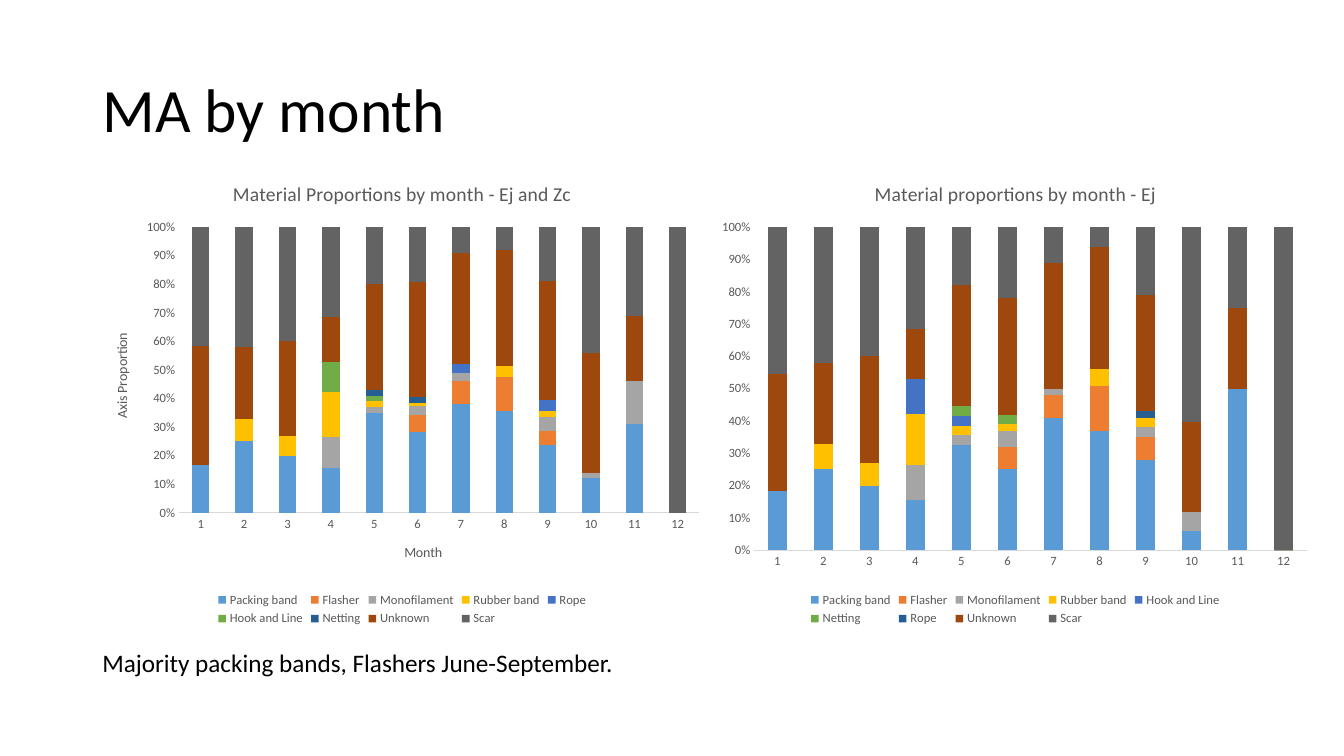
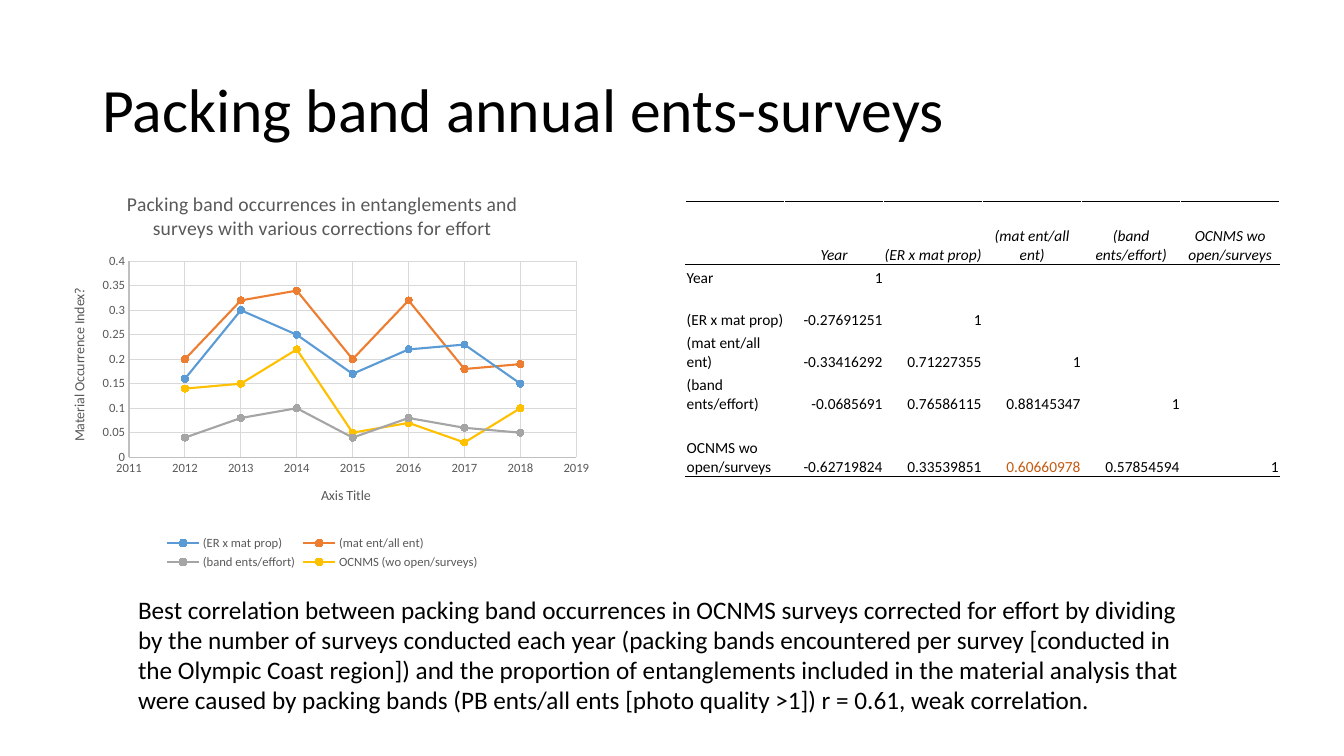
from dataclasses import dataclass

from lxml import etree
from pptx import Presentation
from pptx import util as u
from pptx.chart import data
from pptx.dml import color
from pptx.enum import chart as ch
from pptx.enum import text as tx
from pptx.oxml import parse_xml
from pptx.oxml.ns import nsdecls, qn


@dataclass(frozen=True)
class Theme:
    face: str = "Calibri"
    ink: str = "000000"
    soft: str = "595959"
    grid: str = "D9D9D9"
    rule: str = "BFBFBF"
    mark: str = "C55A11"
    hues: tuple = ("5B9BD5", "ED7D31", "A5A5A5", "FFC000", "4472C4",
                   "70AD47", "255E91", "9E480E", "636363")
    head: int = 44
    body: int = 18
    top: int = 14
    cell: int = 11
    axis: int = 10
    tick: int = 9


T = Theme()
HEAD = (88, 38, 1104, 139)
MONTHS = [str(m) for m in range(1, 13)]
YEARS = range(2012, 2019)

ALL = {
    "Packing band": (17, 25, 20, 16, 35, 28, 38, 36, 24, 12, 31, 0),
    "Flasher": (0, 0, 0, 0, 0, 6, 8, 12, 5, 0, 0, 0),
    "Monofilament": (0, 0, 0, 11, 2, 3, 3, 0, 5, 2, 15, 0),
    "Rubber band": (0, 8, 7, 16, 2, 1, 0, 4, 2, 0, 0, 0),
    "Rope": (0, 0, 0, 0, 0, 0, 3, 0, 4, 0, 0, 0),
    "Hook and Line": (0, 0, 0, 11, 2, 0, 0, 0, 0, 0, 0, 0),
    "Netting": (0, 0, 0, 0, 2, 2, 0, 0, 0, 0, 0, 0),
    "Unknown": (42, 25, 33, 16, 37, 40, 39, 41, 42, 42, 23, 0),
    "Scar": (42, 42, 40, 32, 20, 19, 9, 8, 19, 44, 31, 100),
}
EJ = {
    "Packing band": (18, 25, 20, 16, 33, 25, 41, 37, 28, 6, 50, 0),
    "Flasher": (0, 0, 0, 0, 0, 7, 7, 14, 7, 0, 0, 0),
    "Monofilament": (0, 0, 0, 11, 3, 5, 2, 0, 3, 6, 0, 0),
    "Rubber band": (0, 8, 7, 16, 3, 2, 0, 5, 3, 0, 0, 0),
    "Hook and Line": (0, 0, 0, 11, 3, 0, 0, 0, 0, 0, 0, 0),
    "Netting": (0, 0, 0, 0, 3, 3, 0, 0, 0, 0, 0, 0),
    "Rope": (0, 0, 0, 0, 0, 0, 0, 0, 2, 0, 0, 0),
    "Unknown": (36, 25, 33, 16, 38, 36, 39, 38, 36, 28, 25, 0),
    "Scar": (45, 42, 40, 32, 18, 22, 11, 6, 21, 61, 25, 100),
}
BANDS = {
    "(ER x mat prop)": (0.16, 0.3, 0.25, 0.17, 0.22, 0.23, 0.15),
    "(mat ent/all ent)": (0.2, 0.32, 0.34, 0.2, 0.32, 0.18, 0.19),
    "(band ents/effort)": (0.04, 0.08, 0.1, 0.04, 0.08, 0.06, 0.05),
    "OCNMS (wo open/surveys)": (0.14, 0.15, 0.22, 0.05, 0.07, 0.03, 0.1),
}
CORR = {
    "Year": ("1",),
    "(ER x mat prop)": ("-0.27691251", "1"),
    "(mat ent/all ent)": ("-0.33416292", "0.71227355", "1"),
    "(band ents/effort)": ("-0.0685691", "0.76586115", "0.88145347", "1"),
    "OCNMS wo open/surveys": ("-0.62719824", "0.33539851", "0.60660978",
                              "0.57854594", "1"),
}
BEST = "0.60660978"
NOTE = ("Best correlation between packing band occurrences in OCNMS surveys "
        "corrected for effort by dividing by the number of surveys conducted "
        "each year (packing bands encountered per survey [conducted in the "
        "Olympic Coast region]) and the proportion of entanglements included "
        "in the material analysis that were caused by packing bands (PB "
        "ents/all ents [photo quality >1]) r = 0.61, weak correlation.")


def px(n):
    return u.Emu(n * 9525)


def emu(box):
    return [px(n) for n in box]


def rgb(hue):
    return color.RGBColor.from_string(hue)


def style(font, size, hue=T.ink, italic=False):
    font.name, font.size = T.face, u.Pt(size)
    font.bold, font.italic = False, italic
    font.color.rgb = rgb(hue)


def write(frame, words, size, hue=T.ink, italic=False):
    """Fill a text frame with one styled paragraph and return it."""
    frame.text = words
    para = frame.paragraphs[0]
    for run in para.runs:
        style(run.font, size, hue, italic)
    return para


def start(deck, words):
    """Add a slide with its title and return the slide."""
    page = deck.slides.add_slide(deck.slide_layouts[5])
    head = page.shapes.title
    head.left, head.top, head.width, head.height = emu(HEAD)
    frame = head.text_frame
    para = write(frame, words, T.head)
    para.alignment, para.line_spacing = tx.PP_ALIGN.LEFT, 0.9
    frame.vertical_anchor = tx.MSO_ANCHOR.MIDDLE
    frame.auto_size = tx.MSO_AUTO_SIZE.NONE
    return page


def note(page, box, words):
    frame = page.shapes.add_textbox(*emu(box)).text_frame
    frame.word_wrap = True
    frame.auto_size = tx.MSO_AUTO_SIZE.SHAPE_TO_FIT_TEXT
    write(frame, words, T.body)


def stroke(line, hue, width=0.75):
    line.color.rgb = rgb(hue)
    line.width = u.Pt(width)


def label(axis, words, turn=0):
    """Give an axis a title, turned by whole degrees."""
    title = axis.axis_title
    write(title.text_frame, words, T.axis, T.soft)
    title.element.xpath(".//a:bodyPr")[0].set("rot", str(turn * 60000))


def inner(chart, area):
    """Place the plot at x, y, w, h, given as shares of the chart."""
    plot = chart.element.xpath("c:chart/c:plotArea")[0]
    for old in plot.findall(qn("c:layout")):
        plot.remove(old)
    modes = '<c:xMode val="edge"/><c:yMode val="edge"/>'
    sides = "".join(f'<c:{k} val="{v}"/>' for k, v in zip("xywh", area))
    plot.insert(0, parse_xml(
        f'<c:layout {nsdecls("c")}><c:manualLayout>'
        f'<c:layoutTarget val="inner"/>{modes}{sides}'
        '</c:manualLayout></c:layout>'))


def graph(page, box, kind, stats, words, area):
    """Add a chart with the shared title, legend, plot area and axes."""
    chart = page.shapes.add_chart(kind, *emu(box), stats).chart
    style(chart.font, T.tick, T.soft)
    chart.has_title = True
    write(chart.chart_title.text_frame, words, T.top, T.soft)
    chart.has_legend = True
    chart.legend.position = ch.XL_LEGEND_POSITION.BOTTOM
    chart.legend.include_in_layout = False
    style(chart.legend.font, T.tick, T.soft)
    inner(chart, area)
    for axis in (chart.category_axis, chart.value_axis):
        axis.major_tick_mark = axis.minor_tick_mark = ch.XL_TICK_MARK.NONE
        axis.has_major_gridlines = False
        style(axis.tick_labels.font, T.tick, T.soft)
    return chart


def stack(page, box, words, rows, area):
    stats = data.CategoryChartData()
    stats.categories = MONTHS
    for name, vals in rows.items():
        stats.add_series(name, vals)
    chart = graph(page, box, ch.XL_CHART_TYPE.COLUMN_STACKED_100, stats,
                  words, area)
    plot = chart.plots[0]
    plot.gap_width, plot.overlap = 150, 100
    plot.vary_by_categories = False
    for item, hue in zip(plot.series, T.hues):
        item.format.fill.solid()
        item.format.fill.fore_color.rgb = rgb(hue)
    stroke(chart.category_axis.format.line, T.grid)
    axis = chart.value_axis
    axis.minimum_scale, axis.maximum_scale, axis.major_unit = 0, 1, 0.1
    axis.tick_labels.number_format = "0%"
    axis.tick_labels.number_format_is_linked = False
    axis.format.line.fill.background()
    return chart


def trend(page, box, words, rows, area):
    stats = data.XyChartData()
    for name, vals in rows.items():
        item = stats.add_series(name)
        for year, val in zip(YEARS, vals):
            item.add_data_point(year, val)
    chart = graph(page, box, ch.XL_CHART_TYPE.XY_SCATTER_LINES, stats,
                  words, area)
    chart.plots[0].vary_by_categories = False
    for item, hue in zip(chart.plots[0].series, T.hues):
        item.smooth = False
        stroke(item.format.line, hue, 1.5)
        dot = item.marker
        dot.style, dot.size = ch.XL_MARKER_STYLE.CIRCLE, 5
        dot.format.fill.solid()
        dot.format.fill.fore_color.rgb = rgb(hue)
        stroke(dot.format.line, hue)
    spans = ((2011, 2019, 1), (0, 0.4, 0.05))
    for axis, span in zip((chart.category_axis, chart.value_axis), spans):
        axis.minimum_scale, axis.maximum_scale, axis.major_unit = span
        axis.tick_labels.number_format = "General"
        axis.tick_labels.number_format_is_linked = False
        axis.has_major_gridlines = True
        stroke(axis.major_gridlines.format.line, T.grid)
        stroke(axis.format.line, T.rule)
    return chart


def edge(cell, sides):
    """Draw cell borders; sides maps T or B to a width in points."""
    props = cell._tc.get_or_add_tcPr()
    for n, (side, width) in enumerate(sides.items()):
        props.insert(n, parse_xml(
            f'<a:ln{side} {nsdecls("a")} w="{u.Pt(width)}"><a:solidFill>'
            f'<a:srgbClr val="{T.ink}"/></a:solidFill></a:ln{side}>'))


def fill(cell, words, align, italic):
    cell.fill.background()
    cell.margin_left = cell.margin_right = cell.margin_top = px(1)
    cell.margin_bottom = 0
    cell.vertical_anchor = tx.MSO_ANCHOR.BOTTOM
    hue = T.mark if words == BEST else T.ink
    para = write(cell.text_frame, words, T.cell, hue, italic)
    para.alignment = align
    if not words:
        etree.SubElement(para._p, qn("a:endParaRPr"), sz=str(T.cell * 100))


def matrix(page, box, tall, rows):
    """Add a lower-triangle table whose header repeats the row names."""
    size = len(rows) + 1
    grid = page.shapes.add_table(size, size, *emu(box)).table
    grid.first_row = grid.horz_banding = False
    for col in grid.columns:
        col.width = u.Emu(px(box[2]) // size)
    for row, high in zip(grid.rows, tall):
        row.height = px(high)
    lines = [("", *rows)] + [(name, *vals) for name, vals in rows.items()]
    rules = {0: {"T": 1, "B": 0.5}, 1: {"T": 0.5}, size - 1: {"B": 1}}
    side = tx.PP_ALIGN
    for r, line in enumerate(lines):
        for c in range(size):
            cell = grid.cell(r, c)
            align = side.CENTER if r == 0 else side.RIGHT if c else side.LEFT
            fill(cell, line[c] if c < len(line) else "", align, r == 0)
            edge(cell, rules.get(r, {}))


def months(deck):
    page = start(deck, "MA by month")
    note(page, (88, 612, 1138, 38),
         "Majority packing bands, Flashers June-September.")
    both = stack(page, (88, 154, 590, 446),
                 "Material Proportions by month - Ej and Zc", ALL,
                 (0.14, 0.14, 0.84, 0.61))
    label(both.category_axis, "Month")
    label(both.value_axis, "Axis Proportion", -90)
    stack(page, (678, 154, 578, 446), "Material proportions by month - Ej",
          EJ, (0.07, 0.14, 0.91, 0.69))


def annual(deck):
    page = start(deck, "Packing band annual ents-surveys")
    chart = trend(page, (44, 165, 526, 381),
                  "Packing band occurrences in entanglements and surveys "
                  "with various corrections for effort", BANDS,
                  (0.15, 0.22, 0.81, 0.49))
    label(chart.category_axis, "Axis Title")
    label(chart.value_axis, "Material Occurrence Index?", -90)
    matrix(page, (653, 192, 566, 262), (60, 22, 40, 40, 40, 60), CORR)
    note(page, (122, 561, 1015, 126), NOTE)


def main():
    deck = Presentation()
    deck.slide_width, deck.slide_height = px(1280), px(720)
    months(deck)
    annual(deck)
    deck.save("out.pptx")


if __name__ == "__main__":
    main()
